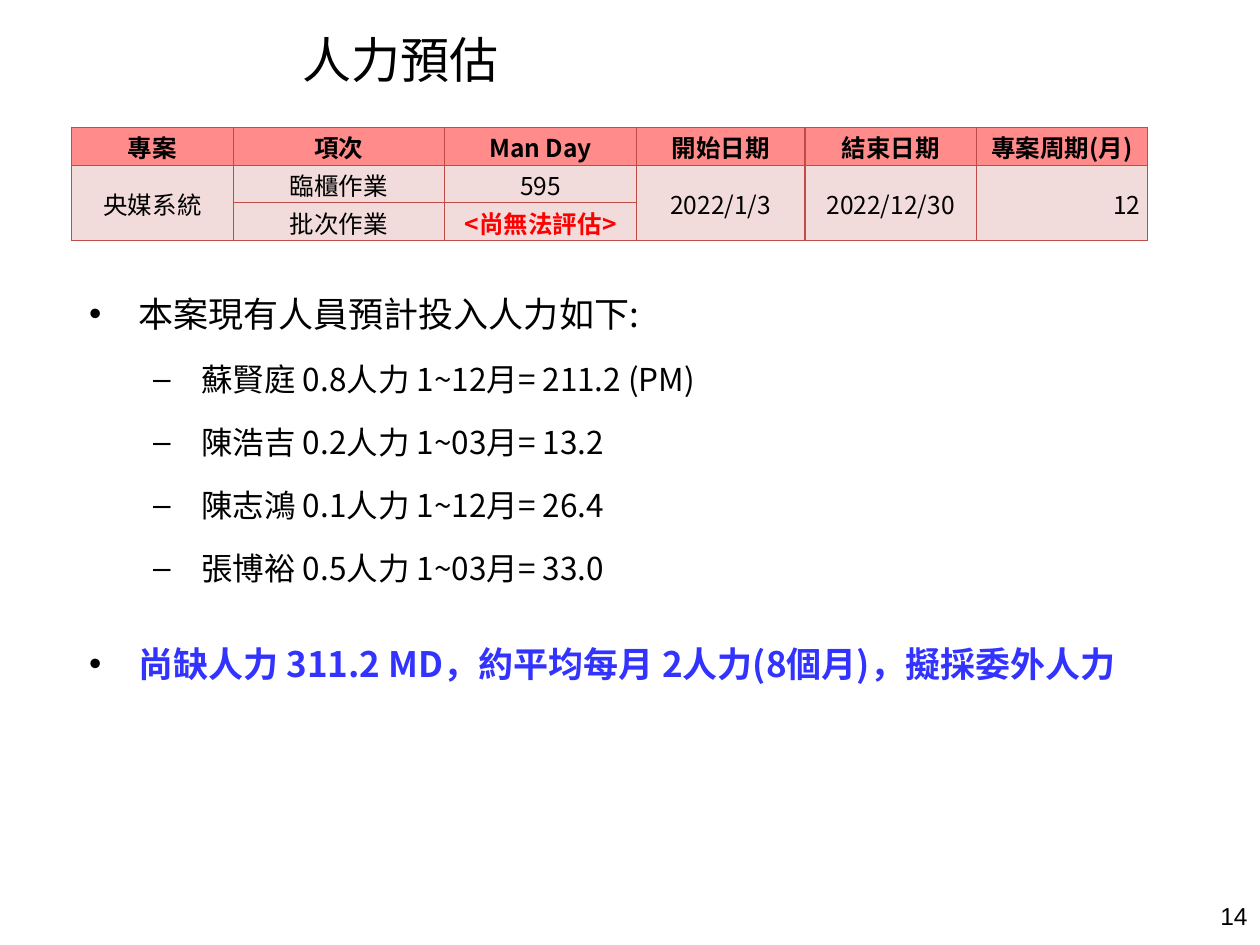
from lxml.etree import SubElement
from pptx import Presentation
from pptx.dml.color import RGBColor
from pptx.enum.text import MSO_ANCHOR, PP_ALIGN
from pptx.oxml.ns import qn
from pptx.util import Cm, Pt

BLACK = RGBColor(0x00, 0x00, 0x00)
RED = RGBColor(0xFF, 0x00, 0x00)
BLUE = RGBColor(0x33, 0x33, 0xFF)
HEADER_FILL = RGBColor(0xFF, 0x8B, 0x8B)
BODY_FILL = RGBColor(0xF2, 0xDC, 0xDB)
BORDER = RGBColor(0xBF, 0x4C, 0x48)
FONT_TC = "Noto Sans CJK TC"
FONT_SC = "Noto Sans CJK SC"


def add_run(paragraph, text, size, font_name, color=BLACK, bold=False):
    run = paragraph.add_run()
    run.text = text
    run.font.size = Pt(size)
    run.font.bold = bold
    run.font.color.rgb = color
    run.font.name = font_name
    SubElement(run.font._element, qn("a:ea"), typeface=font_name)


def set_bullet(paragraph, character, left, hanging):
    properties = paragraph._p.get_or_add_pPr()
    properties.set("marL", str(left))
    properties.set("indent", str(-hanging))
    bullet_color = SubElement(properties, qn("a:buClr"))
    SubElement(bullet_color, qn("a:srgbClr"), val=str(BLACK))
    SubElement(properties, qn("a:buFont"), typeface="Arial")
    SubElement(properties, qn("a:buChar"), char=character)


presentation = Presentation()
presentation.slide_width = Cm(25.4)
presentation.slide_height = Cm(19.05)
slide = presentation.slides.add_slide(presentation.slide_layouts[5])

# Title
title = slide.shapes.title
title.left, title.top, title.width, title.height = Cm(5.84), Cm(0.38), Cm(17.8), Cm(1.75)
title.text_frame.vertical_anchor = MSO_ANCHOR.MIDDLE
paragraph = title.text_frame.paragraphs[0]
paragraph.alignment = PP_ALIGN.LEFT
paragraph.line_spacing = Pt(30)
add_run(paragraph, "人力預估", 28, FONT_TC)

# Effort table; None marks a cell merged into the one above
rows = [
    ["專案", "項次", "Man Day", "開始日期", "結束日期", "專案周期(月)"],
    ["央媒系統", "臨櫃作業", "595", "2022/1/3", "2022/12/30", "12 "],
    [None, "批次作業", "<尚無法評估>", None, None, None],
]
column_widths = [3.25, 4.27, 3.86, 3.4, 3.45, 3.45]
row_height = 0.76
table = slide.shapes.add_table(
    len(rows), len(column_widths), Cm(1.45), Cm(2.57),
    Cm(sum(column_widths)), Cm(row_height * len(rows))).table
for column, width in zip(table.columns, column_widths):
    column.width = Cm(width)
for row in table.rows:
    row.height = Cm(row_height)

for row_index, texts in enumerate(rows):
    for column_index, text in enumerate(texts):
        cell = table.cell(row_index, column_index)
        cell.margin_left = cell.margin_right = cell.margin_top = Cm(0.03)
        cell.margin_bottom = 0
        cell.vertical_anchor = MSO_ANCHOR.MIDDLE
        cell_properties = cell._tc.get_or_add_tcPr()
        for side in ("lnL", "lnR", "lnT", "lnB"):
            line = SubElement(cell_properties, qn(f"a:{side}"), w=str(Pt(0.75)))
            line_fill = SubElement(line, qn("a:solidFill"))
            SubElement(line_fill, qn("a:srgbClr"), val=str(BORDER))
        cell.fill.solid()
        cell.fill.fore_color.rgb = HEADER_FILL if row_index == 0 else BODY_FILL
        if text is None:
            table.cell(row_index - 1, column_index).merge(cell)
            continue
        pending = text.startswith("<")
        paragraph = cell.text_frame.paragraphs[0]
        paragraph.alignment = PP_ALIGN.RIGHT if text == "12 " else PP_ALIGN.CENTER
        add_run(paragraph, text, 14, FONT_SC, RED if pending else BLACK,
                row_index == 0 or pending)

# Staffing list: text, level, space before, colour, bold
items = [
    ("本案現有人員預計投入人力如下:", 0, 4, BLACK, False),
    ("蘇賢庭 0.8人力 1~12月= 211.2 (PM)", 1, 3.6, BLACK, False),
    ("陳浩吉 0.2人力 1~03月= 13.2", 1, 3.6, BLACK, False),
    ("陳志鴻 0.1人力 1~12月= 26.4", 1, 3.6, BLACK, False),
    ("張博裕 0.5人力 1~03月= 33.0", 1, 3.6, BLACK, False),
    ("尚缺人力 311.2 MD，約平均每月 2人力(8個月)，擬採委外人力", 0, 32, BLUE, True),
]
# Per level: bullet, left margin, hanging indent, text size, line pitch
levels = [("•", Cm(1.27), Cm(0.99), 20, 24), ("–", Cm(2.54), Cm(0.97), 18, 32.4)]
staffing = slide.shapes.add_textbox(Cm(1.27), Cm(5.77), Cm(22.38), Cm(9.45))
staffing.text_frame.word_wrap = True
for index, (text, level, space_before, color, bold) in enumerate(items):
    frame = staffing.text_frame
    paragraph = frame.paragraphs[0] if index == 0 else frame.add_paragraph()
    character, left, hanging, size, pitch = levels[level]
    paragraph.level = level
    paragraph.line_spacing = Pt(pitch)
    paragraph.space_before = Pt(space_before)
    set_bullet(paragraph, character, left, hanging)
    add_run(paragraph, text, size, FONT_TC, color, bold)

# Page number
page_number = slide.shapes.add_textbox(Cm(23.47), Cm(18.03), Cm(1.93), Cm(1.02))
page_number.text_frame.word_wrap = True
paragraph = page_number.text_frame.paragraphs[0]
paragraph.alignment = PP_ALIGN.RIGHT
add_run(paragraph, "14", 14, "Arial")

presentation.save("out.pptx")
